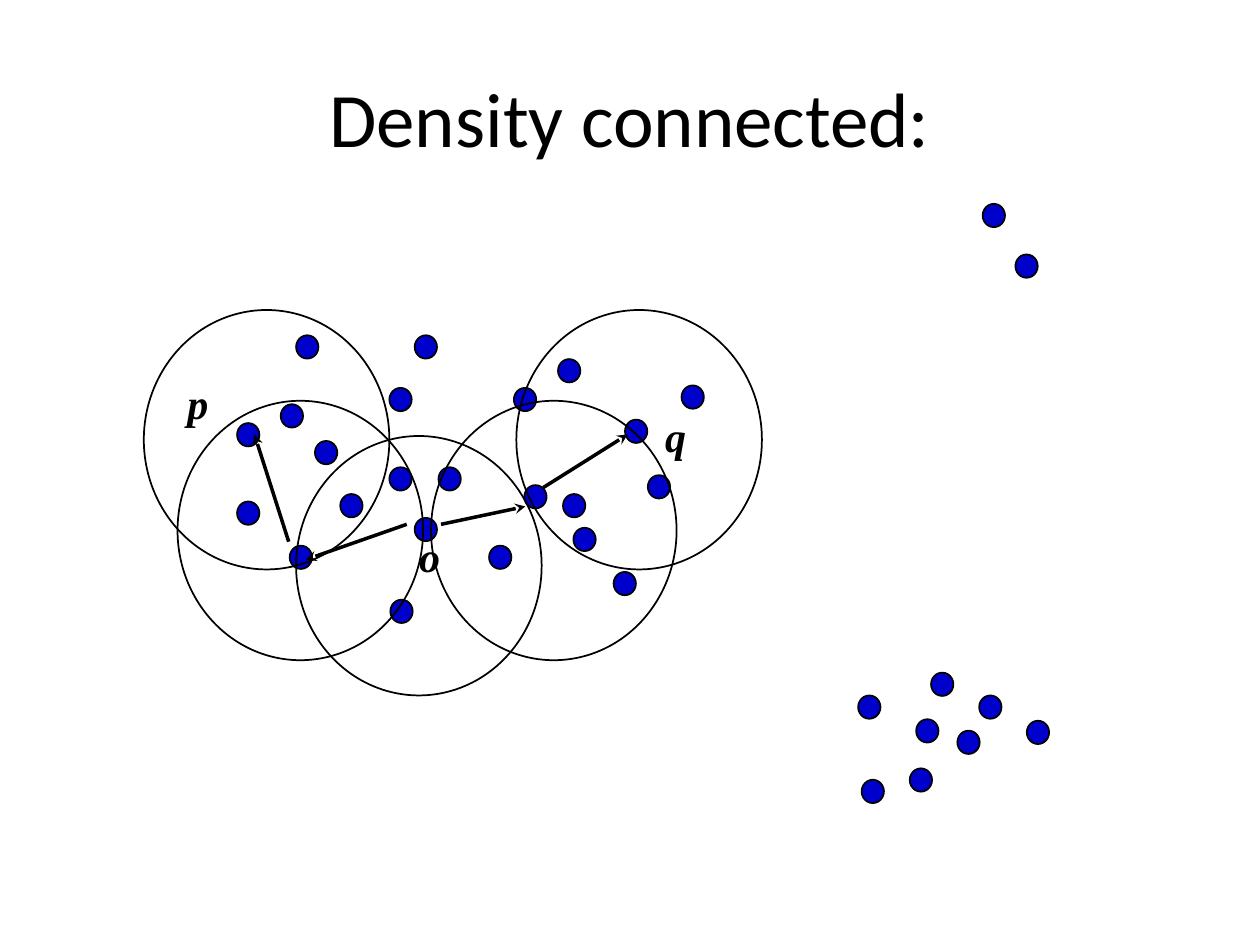
from dataclasses import dataclass
from typing import NamedTuple

from pptx import Presentation
from pptx.dml.color import RGBColor as Rgb
from pptx.enum.shapes import MSO_CONNECTOR as Link, MSO_SHAPE as Shape
from pptx.enum.text import MSO_ANCHOR as Anchor, MSO_AUTO_SIZE as Fit, PP_ALIGN as Align
from pptx.oxml.ns import qn
from pptx.util import Cm, Pt


@dataclass(frozen=True)
class Theme:
    ink: Rgb = Rgb(0, 0, 0)
    blue: Rgb = Rgb(0, 0, 0xCC)
    sans: str = "Calibri"
    serif: str = "Times New Roman"
    head: int = 44
    mark: int = 24
    thin: int = 1
    bold: int = 2


class Spot(NamedTuple):
    x: float
    y: float


class Size(NamedTuple):
    w: float
    h: float


class Arrow(NamedTuple):
    tip: Spot
    end: Spot


class Label(NamedTuple):
    text: str
    at: Spot


THEME = Theme()
DOT = Size(0.45, 0.47)
RING = Size(4.95, 5.23)
NOTE = Size(1.7, 2.16)

# Top left corners, in centimetres
MAIN = [
    Spot(6.35, 8.89), Spot(7.85, 9.42), Spot(7.85, 7.82), Spot(5.84, 11),
    Spot(6.86, 9.96), Spot(7.87, 12.09), Spot(8.36, 10.44), Spot(8.36, 6.76),
    Spot(11.35, 9.96), Spot(10.36, 7.82), Spot(4.78, 10.11), Spot(8.84, 9.42),
    Spot(9.86, 11), Spot(12.37, 11.53), Spot(13.06, 9.58), Spot(10.57, 9.78),
    Spot(11.56, 10.64), Spot(13.74, 7.77), Spot(11.25, 7.24), Spot(12.6, 8.46),
    Spot(5.66, 8.15), Spot(4.78, 8.53), Spot(5.97, 6.76),
]
FAR = [
    Spot(19.3, 14.73), Spot(18.77, 13.56), Spot(17.3, 14.02), Spot(18.47, 14.5),
    Spot(17.37, 15.72), Spot(20.7, 14.53), Spot(19.74, 14.02), Spot(18.34, 15.49),
]
LONE = [Spot(19.81, 4.11), Spot(20.47, 5.13)]
RINGS = [
    Spot(3.58, 8.08), Spot(5.97, 8.79), Spot(8.69, 8.08),
    Spot(10.41, 6.25), Spot(2.9, 6.25),
]
ARROWS = [
    Arrow(Spot(6.17, 11.28), Spot(8.2, 10.57)),
    Arrow(Spot(10.59, 10.21), Spot(8.89, 10.57)),
    Arrow(Spot(5.13, 8.76), Spot(5.82, 10.92)),
    Arrow(Spot(12.65, 8.76), Spot(10.95, 9.83)),
]
LABELS = [
    Label("p", Spot(3.53, 7.49)),
    Label("q", Spot(13.16, 8.15)),
    Label("o", Spot(8.2, 10.57)),
]


def write(frame, text: str, *, size: int, face: str, align=Align.LEFT,
          anchor=Anchor.TOP, bold: bool = False, slant: bool = False) -> None:
    frame.word_wrap = True
    frame.auto_size = Fit.NONE
    frame.vertical_anchor = anchor
    para = frame.paragraphs[0]
    para.alignment = align
    run = para.add_run()
    run.text = text
    font = run.font
    font.name, font.size = face, Pt(size)
    font.bold, font.italic = bold, slant
    font.color.rgb = THEME.ink


def oval(slide, at: Spot, size: Size, fill: Rgb | None = None) -> None:
    shape = slide.shapes.add_shape(Shape.OVAL, *map(Cm, at + size))
    shape.shadow.inherit = False
    if fill is None:
        shape.fill.background()
    else:
        shape.fill.solid()
        shape.fill.fore_color.rgb = fill
    shape.line.color.rgb = THEME.ink
    shape.line.width = Pt(THEME.thin)


def arrow(slide, item: Arrow) -> None:
    line = slide.shapes.add_connector(Link.STRAIGHT, *map(Cm, item.tip + item.end))
    line.line.color.rgb = THEME.ink
    line.line.width = Pt(THEME.bold)
    props = line.line._get_or_add_ln()
    props.append(props.makeelement(qn("a:headEnd"), {"type": "stealth"}))
    base = props.getparent()
    base.append(base.makeelement(qn("a:effectLst"), {}))


def label(slide, item: Label) -> None:
    box = slide.shapes.add_textbox(*map(Cm, item.at + NOTE))
    write(box.text_frame, item.text, size=THEME.mark, face=THEME.serif,
          bold=True, slant=True)


def main() -> None:
    deck = Presentation()
    deck.slide_width, deck.slide_height = Cm(25.4), Cm(19.05)
    slide = deck.slides.add_slide(deck.slide_layouts[5])

    # Title
    title = slide.shapes.title
    title.left, title.top = Cm(1.27), Cm(0.76)
    title.width, title.height = Cm(22.86), Cm(3.18)
    write(title.text_frame, "Density connected:", size=THEME.head,
          face=THEME.sans, align=Align.CENTER, anchor=Anchor.MIDDLE)

    # Data points
    for at in MAIN + FAR + LONE:
        oval(slide, at, DOT, THEME.blue)

    # Neighbourhoods and the chains from o to p and q
    for at in RINGS:
        oval(slide, at, RING)
    for item in ARROWS:
        arrow(slide, item)
    for item in LABELS:
        label(slide, item)

    deck.save("out.pptx")


if __name__ == "__main__":
    main()
